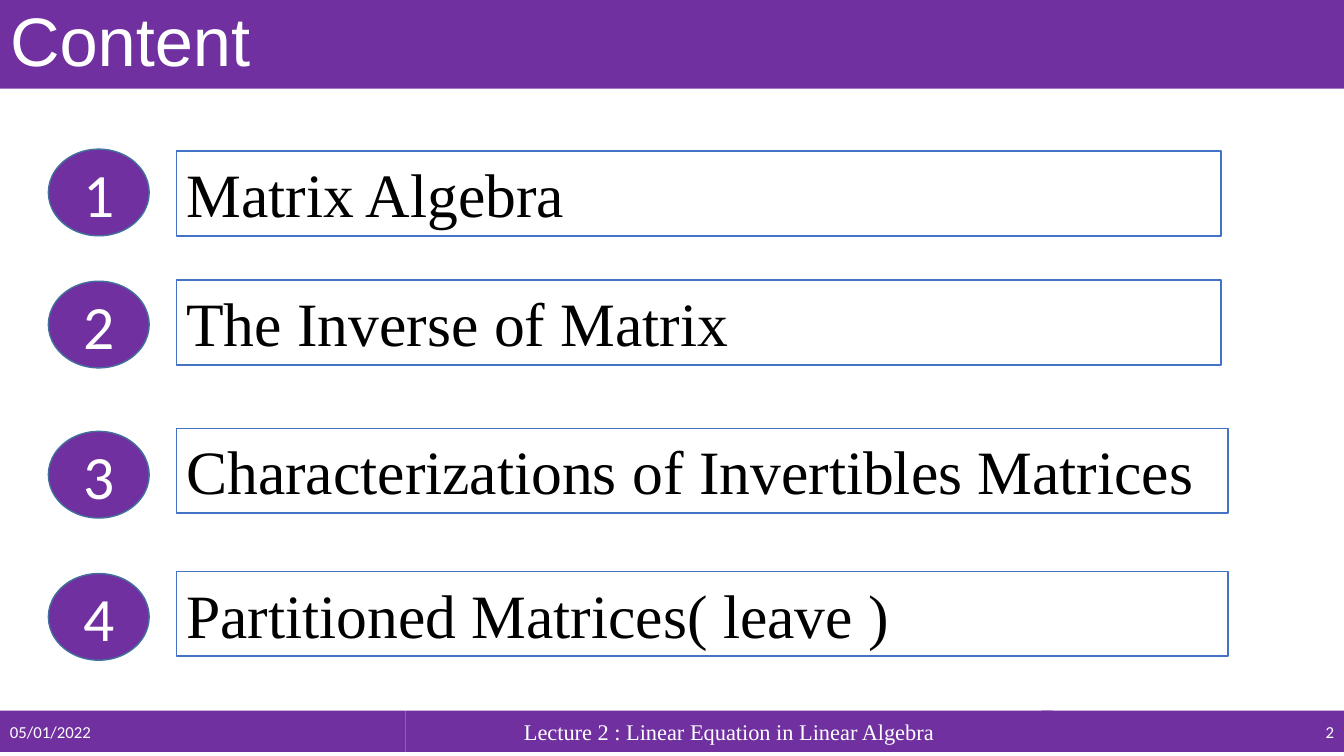
from pptx import Presentation
from pptx.dml.color import RGBColor
from pptx.enum.shapes import MSO_SHAPE
from pptx.enum.text import MSO_ANCHOR, MSO_AUTO_SIZE, PP_ALIGN
from pptx.util import Inches, Pt

RECT, OVAL = MSO_SHAPE.RECTANGLE, MSO_SHAPE.OVAL
LEFT, CENTER, RIGHT = PP_ALIGN.LEFT, PP_ALIGN.CENTER, PP_ALIGN.RIGHT
TOP, MIDDLE = MSO_ANCHOR.TOP, MSO_ANCHOR.MIDDLE

COLORS = {"purple": "7030A0", "white": "FFFFFF", "black": "000000",
          "oval_line": "41719C", "box_line": "4472C4"}
TITLE = "Content"
# topic, oval top, box top, box width
TOPICS = [
    ("Matrix Algebra", 1.48, 1.5, 10.36),
    ("The Inverse of Matrix", 2.79, 2.78, 10.36),
    ("Characterizations of Invertibles Matrices", 4.28, 4.25, 10.43),
    ("Partitioned Matrices( leave )", 5.69, 5.67, 10.43),
]
# text, left, width, alignment, font, size
FOOTER = [
    ("05/01/2022", 0, 4.02, LEFT, "Calibri", 12),
    ("Lecture 2 : Linear Equation in Linear Algebra", 4.02, 6.42, CENTER, "Times New Roman", 16),
    ("2", 10.33, 3, RIGHT, "Calibri", 12),
]
SLIDE_W, SLIDE_H = 13.33, 7.5
TITLE_H = 0.88
FOOTER_TOP, FOOTER_H = 7.05, 0.41
OVAL_LEFT, OVAL_W, OVAL_H = 0.48, 1, 0.86
BOX_LEFT, BOX_H = 1.75, 0.84


def color(name):
    return RGBColor.from_string(COLORS[name])


def fill_solid(sp, name):
    sp.fill.solid()
    sp.fill.fore_color.rgb = color(name)


def set_text(sp, text, font, size, ink, align=LEFT, anchor=MIDDLE):
    tf = sp.text_frame
    tf.text = text
    tf.word_wrap = True
    tf.auto_size = MSO_AUTO_SIZE.NONE
    tf.vertical_anchor = anchor
    p = tf.paragraphs[0]
    p.alignment = align
    p.font.name, p.font.size = font, Pt(size)
    p.font.color.rgb = color(ink)
    return p


def add_box(slide, kind, at, fill, line=None):
    sp = slide.shapes.add_shape(kind, *map(Inches, at))
    sp.shadow.inherit = False
    fill_solid(sp, fill)
    if line:
        sp.line.color.rgb = color(line)
        sp.line.width = Pt(1)
    else:
        sp.line.fill.background()
    return sp


def main():
    prs = Presentation()
    prs.slide_width, prs.slide_height = Inches(SLIDE_W), Inches(SLIDE_H)
    slide = prs.slides.add_slide(prs.slide_layouts[5])

    title = slide.shapes.title
    title.left, title.top = 0, 0
    title.width, title.height = Inches(SLIDE_W), Inches(TITLE_H)
    fill_solid(title, "purple")
    set_text(title, TITLE, "Arial", 49, "white").line_spacing = 0.9

    for text, left, width, align, font, size in FOOTER:
        bar = add_box(slide, RECT, (left, FOOTER_TOP, width, FOOTER_H), "purple")
        set_text(bar, text, font, size, "white", align)

    for number, (topic, oval_top, box_top, box_w) in enumerate(TOPICS, 1):
        oval = add_box(slide, OVAL, (OVAL_LEFT, oval_top, OVAL_W, OVAL_H), "purple", "oval_line")
        set_text(oval, str(number), "Calibri", 44, "white", CENTER)
        box = add_box(slide, RECT, (BOX_LEFT, box_top, box_w, BOX_H), "white", "box_line")
        set_text(box, topic, "Times New Roman", 44, "black", anchor=TOP)

    prs.save("out.pptx")


if __name__ == "__main__":
    main()
